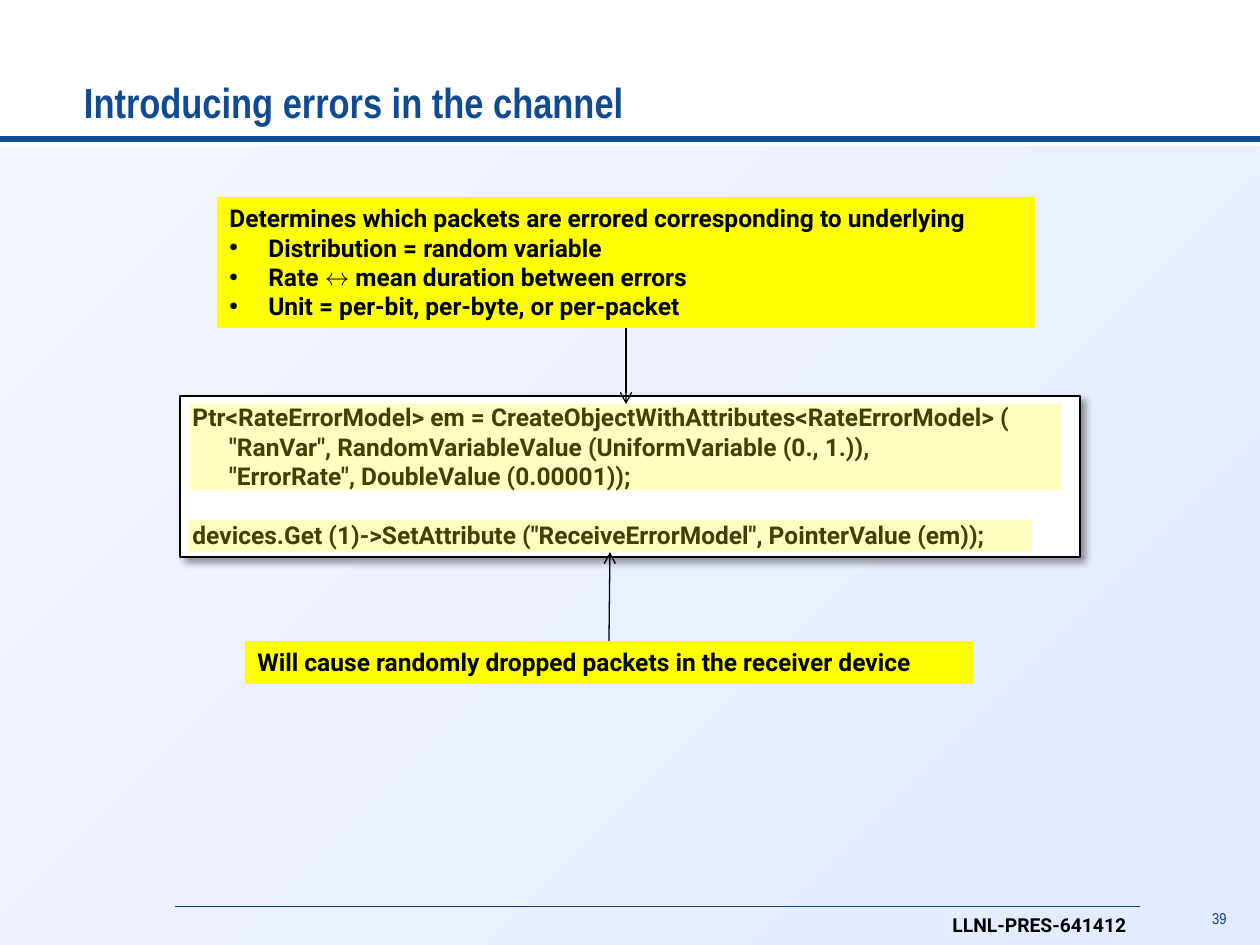
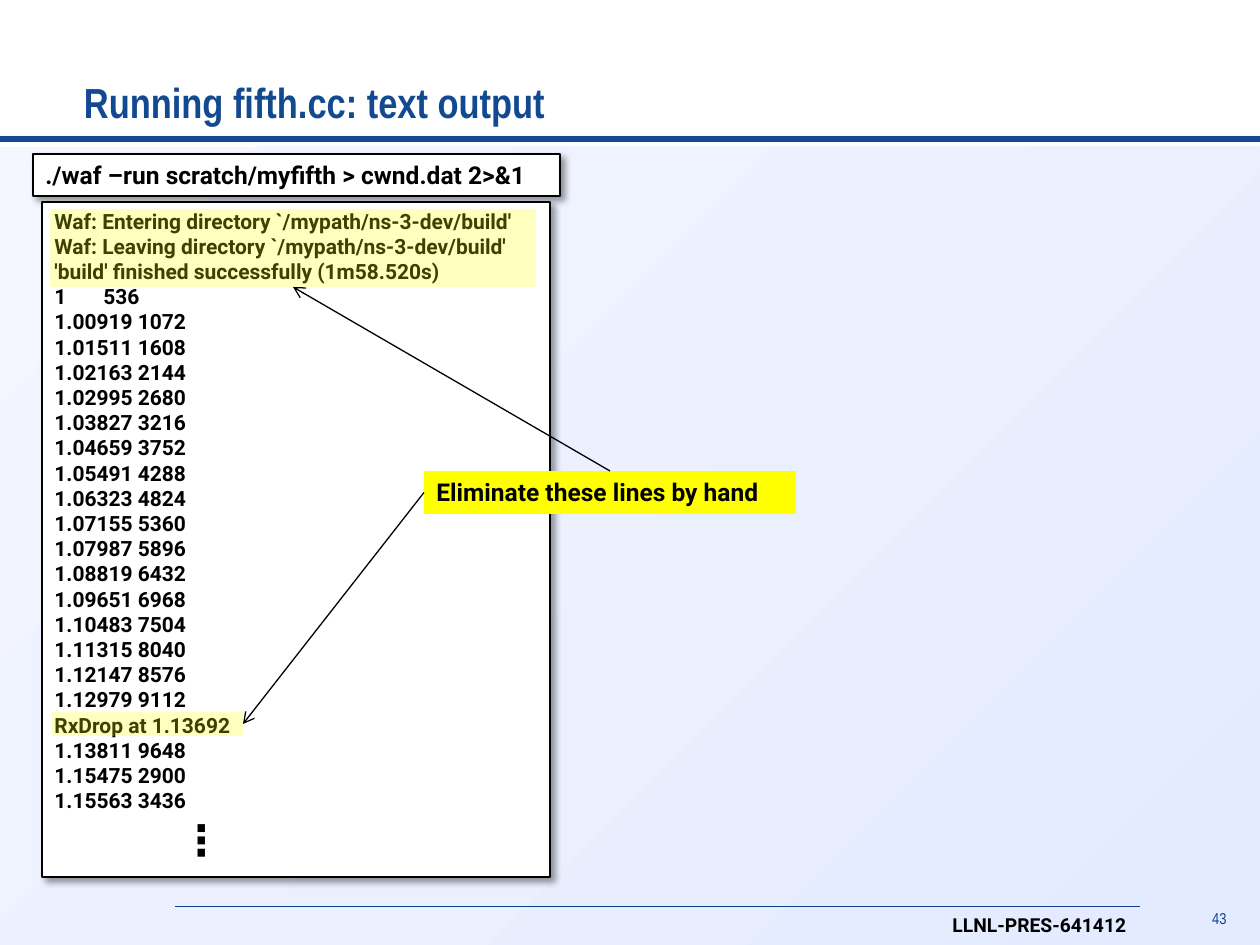
import lxml.etree
import pptx
import pptx.dml.color
import pptx.enum.shapes
import pptx.enum.text
import pptx.oxml.ns
import pptx.util

PX = 914400 / 126
RGBColor = pptx.dml.color.RGBColor
RECTANGLE = pptx.enum.shapes.MSO_SHAPE.RECTANGLE
STRAIGHT = pptx.enum.shapes.MSO_CONNECTOR.STRAIGHT
ALIGN = pptx.enum.text.PP_ALIGN
ANCHOR = pptx.enum.text.MSO_ANCHOR
TOP, LEFT, BOTTOM, RIGHT = range(4)

WHITE = RGBColor(0xFF, 0xFF, 0xFF)
BLACK = RGBColor(0x00, 0x00, 0x00)
YELLOW = RGBColor(0xFF, 0xFF, 0x00)
TITLE_BLUE = RGBColor(0x12, 0x4A, 0x91)
FOOTER_BLUE = RGBColor(0x10, 0x42, 0x8C)
WASH_LIGHT = RGBColor(0xF4, 0xF7, 0xFF)
WASH_DARK = RGBColor(0xE4, 0xEA, 0xFF)

TITLE_FONT = "Arial Narrow"
BODY_FONT = "Roboto"
TITLE_AREA = (84, 21, 1095, 112)

ERROR_NOTES = [
    "Determines which packets are errored corresponding to underlying",
    "Distribution = random variable",
    "Rate ↔ mean duration between errors",
    "Unit = per-bit, per-byte, or per-packet",
]
ERROR_CODE = [
    "Ptr<RateErrorModel> em = CreateObjectWithAttributes<RateErrorModel> (",
    '      "RanVar", RandomVariableValue (UniformVariable (0., 1.)),',
    '      "ErrorRate", DoubleValue (0.00001));',
    'devices.Get (1)->SetAttribute ("ReceiveErrorModel", PointerValue (em));',
]
RUN_OUTPUT = [
    "Waf: Entering directory `/mypath/ns-3-dev/build'",
    "Waf: Leaving directory `/mypath/ns-3-dev/build'",
    "'build' finished successfully (1m58.520s)",
    "1\t536",
    "1.00919 1072",
    "1.01511 1608",
    "1.02163 2144",
    "1.02995 2680",
    "1.03827 3216",
    "1.04659 3752",
    "1.05491 4288",
    "1.06323 4824",
    "1.07155 5360",
    "1.07987 5896",
    "1.08819 6432",
    "1.09651 6968",
    "1.10483 7504",
    "1.11315 8040",
    "1.12147 8576",
    "1.12979 9112",
    "RxDrop at 1.13692",
    "1.13811 9648",
    "1.15475 2900",
    "1.15563 3436",
    "⋮",
]


def px(length):
    return pptx.util.Emu(round(length * PX))


def place(area):
    return [px(length) for length in area]


def add_xml(parent, tag, **attributes):
    return lxml.etree.SubElement(parent, pptx.oxml.ns.qn(tag), attributes)


def set_text(shape, lines, size, font=BODY_FONT, color=BLACK, bold=True,
             align=ALIGN.LEFT, anchor=ANCHOR.TOP):
    frame = shape.text_frame
    frame.text = "\n".join(lines)
    frame.word_wrap = True
    frame.auto_size = pptx.enum.text.MSO_AUTO_SIZE.NONE
    frame.vertical_anchor = anchor
    for para in frame.paragraphs:
        para.alignment = align
        for span in para.runs:
            span.font.name = font
            span.font.size = pptx.util.Pt(size)
            span.font.bold = bold
            span.font.color.rgb = color
    return frame


def set_indent(para, left, first=0):
    properties = para._p.get_or_add_pPr()
    properties.set("marL", str(px(left)))
    properties.set("indent", str(px(first)))
    return properties


def add_bullet(para):
    properties = set_indent(para, 39, -39)
    add_xml(properties, "a:buFont", typeface="Arial")
    add_xml(properties, "a:buChar", char="•")


def add_tab_stop(para, position):
    tabs = add_xml(para._p.get_or_add_pPr(), "a:tabLst")
    add_xml(tabs, "a:tab", pos=str(px(position)), algn="l")


def add_rectangle(slide, area, fill):
    box = slide.shapes.add_shape(RECTANGLE, *place(area))
    box.shadow.inherit = False
    box.fill.solid()
    box.fill.fore_color.rgb = fill
    box.line.fill.background()
    return box


def add_callout(slide, area, lines):
    box = add_rectangle(slide, area, YELLOW)
    set_text(box, lines, 14)
    return box


def add_listing(slide, area, lines, size):
    """White outlined box with a soft drop shadow, holding code or output."""
    box = add_rectangle(slide, area, WHITE)
    box.line.color.rgb = BLACK
    box.line.width = pptx.util.Pt(0.75)
    effects = box._element.spPr.find(pptx.oxml.ns.qn("a:effectLst"))
    shadow = add_xml(effects, "a:outerShdw", blurRad=str(pptx.util.Pt(4)),
                     dist=str(pptx.util.Pt(3)), dir="2700000", algn="tl",
                     rotWithShape="0")
    color = add_xml(shadow, "a:srgbClr", val=str(BLACK))
    add_xml(color, "a:alpha", val="40000")
    return set_text(box, lines, size).paragraphs


def add_highlight(slide, area):
    box = add_rectangle(slide, area, YELLOW)
    color = box._element.spPr.find(".//" + pptx.oxml.ns.qn("a:srgbClr"))
    add_xml(color, "a:alpha", val="25000")
    return box


def add_line(slide, start, end, color, width):
    line = slide.shapes.add_connector(STRAIGHT, *place(start + end))
    line.line.color.rgb = color
    line.line.width = pptx.util.Pt(width)
    add_xml(line._element.spPr, "a:effectLst")
    return line


def add_arrow(slide, source, source_side, target, target_side):
    arrow = add_line(slide, (0, 0), (0, 0), BLACK, 0.75)
    arrow.begin_connect(source, source_side)
    arrow.end_connect(target, target_side)
    add_xml(arrow.line._get_or_add_ln(), "a:tailEnd", type="arrow")


def add_page(deck, title, number):
    """Add a slide with the shared background, title style and footer."""
    slide = deck.slides.add_slide(deck.slide_layouts[5])

    wash = add_rectangle(slide, (0, 147, 1260, 798), WASH_LIGHT)
    wash.fill.gradient()
    wash.fill.gradient_angle = 315
    for stop, color in zip(wash.fill.gradient_stops, (WASH_LIGHT, WASH_DARK)):
        stop.color.rgb = color
    add_rectangle(slide, (0, 136, 1260, 6), TITLE_BLUE)
    add_line(slide, (175, 906), (1140, 906), FOOTER_BLUE, 0.5)

    number_box = slide.shapes.add_textbox(*place((1196, 907, 43, 28)))
    frame = set_text(number_box, [str(number)], 9, TITLE_FONT, FOOTER_BLUE,
                     bold=False, align=ALIGN.RIGHT)
    frame.margin_left = 0
    frame.paragraphs[0].line_spacing = 0.75
    report_box = slide.shapes.add_textbox(*place((940, 907, 205, 37)))
    set_text(report_box, ["LLNL-PRES-641412"], 11)

    heading = slide.shapes.title
    heading.left, heading.top, heading.width, heading.height = place(TITLE_AREA)
    frame = set_text(heading, [title], 24, TITLE_FONT, TITLE_BLUE,
                     anchor=ANCHOR.BOTTOM)
    frame.margin_left = 0
    return slide


def build_error_model(deck):
    slide = add_page(deck, "Introducing errors in the channel", 39)
    notes = add_callout(slide, (217, 197, 818, 131), ERROR_NOTES)
    for para in notes.text_frame.paragraphs[1:]:
        add_bullet(para)

    code = add_listing(slide, (180, 396, 900, 161), ERROR_CODE, 14)
    code[-1].space_before = pptx.util.Pt(16.8)
    model_lines = add_highlight(slide, (190, 404, 872, 86))
    device_line = add_highlight(slide, (188, 520, 844, 32))

    effect = add_callout(slide, (245, 641, 728, 43),
                         ["Will cause randomly dropped packets in the receiver device"])
    add_arrow(slide, effect, TOP, device_line, BOTTOM)
    add_arrow(slide, notes, BOTTOM, model_lines, TOP)


def build_text_output(deck):
    slide = add_page(deck, "Running fifth.cc: text output", 43)
    add_listing(slide, (33, 154, 527, 42),
                ["./waf –run scratch/myfifth > cwnd.dat 2>&1"], 14)
    output = add_listing(slide, (42, 202, 508, 675), RUN_OUTPUT, 12)
    add_tab_stop(output[3], 49)
    set_indent(output[-1], 126)
    output[-1].runs[0].font.size = pptx.util.Pt(24)

    advice = add_callout(slide, (424, 471, 372, 43),
                         ["Eliminate these lines by hand"])
    drop_line = add_highlight(slide, (52, 712, 191, 24))
    build_lines = add_highlight(slide, (50, 209, 486, 78))
    add_arrow(slide, advice, TOP, build_lines, BOTTOM)
    add_arrow(slide, advice, LEFT, drop_line, RIGHT)


def main():
    deck = pptx.Presentation()
    deck.slide_width, deck.slide_height = place((1260, 945))
    build_error_model(deck)
    build_text_output(deck)
    deck.save("out.pptx")


if __name__ == "__main__":
    main()
